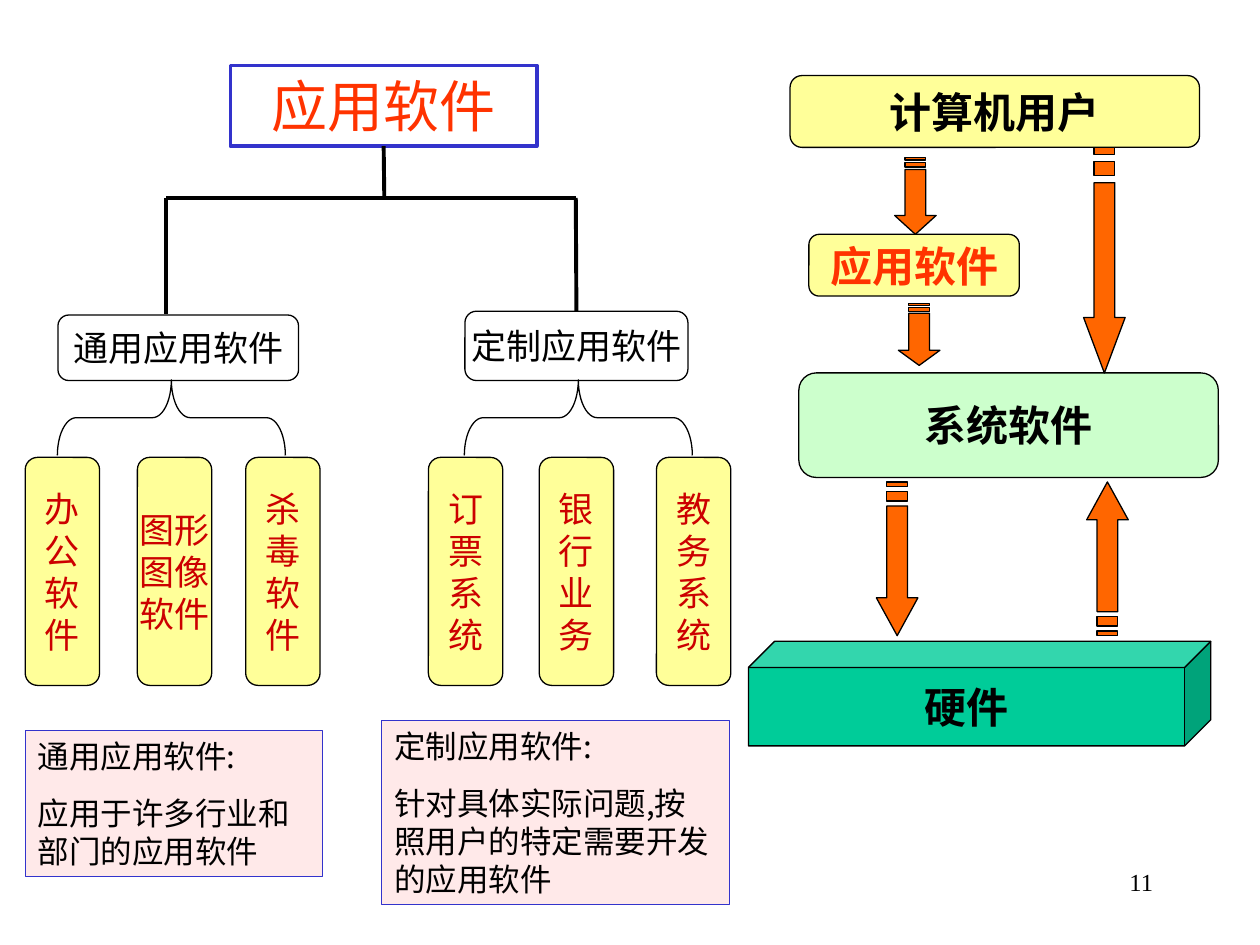
import lxml.etree
import pptx
import pptx.dml.color
import pptx.enum.shapes
import pptx.enum.text
import pptx.oxml.ns
import pptx.util

Inches = pptx.util.Inches
Pt = pptx.util.Pt
MSO_SHAPE = pptx.enum.shapes.MSO_SHAPE
PP_ALIGN = pptx.enum.text.PP_ALIGN
MSO_ANCHOR = pptx.enum.text.MSO_ANCHOR


def color(value):
    return pptx.dml.color.RGBColor.from_string(value)


def add_box(kind, frame, text, size, font, text_color, fill=None, bold=False,
            line="000000", line_width=0.75, wrap=False,
            anchor=MSO_ANCHOR.MIDDLE, align=PP_ALIGN.CENTER, gap=0):
    shape = slide.shapes.add_shape(kind, *[Inches(value) for value in frame])
    shape.shadow.inherit = False
    if fill:
        shape.fill.solid()
        shape.fill.fore_color.rgb = color(fill)
    else:
        shape.fill.background()
    shape.line.color.rgb = color(line)
    shape.line.width = Pt(line_width)
    text_frame = shape.text_frame
    text_frame.text = text
    text_frame.word_wrap = wrap
    text_frame.vertical_anchor = anchor
    for index, paragraph in enumerate(text_frame.paragraphs):
        paragraph.alignment = align
        paragraph.line_spacing = Pt(size * 1.2)
        if index:
            paragraph.space_before = Pt(gap)
        for run in paragraph.runs:
            run.font.size = Pt(size)
            run.font.bold = bold
            run.font.name = font
            run.font.color.rgb = color(text_color)
            east_asian = "Noto Sans CJK JP" if font == "Noto Sans CJK JP" else "Noto Sans CJK SC"
            lxml.etree.SubElement(run.font._element, pptx.oxml.ns.qn("a:ea"), typeface=east_asian)
    return shape


presentation = pptx.Presentation()
presentation.slide_width = Inches(10)
presentation.slide_height = Inches(7.5)
slide = presentation.slides.add_slide(presentation.slide_layouts[6])

layers = [
    (MSO_SHAPE.CUBE, (5.94, 5.09, 3.67, 0.83), "硬件", "000000", "00CC99"),
    (MSO_SHAPE.ROUNDED_RECTANGLE, (6.34, 2.96, 3.33, 0.83), "系统软件", "000000", "CCFFCC"),
    (MSO_SHAPE.ROUNDED_RECTANGLE, (6.42, 1.86, 1.67, 0.49), "应用软件", "FF3300", "FFFF99"),
    (MSO_SHAPE.ROUNDED_RECTANGLE, (6.27, 0.6, 3.25, 0.57), "计算机用户", "000000", "FFFF99"),
]
for kind, frame, text, text_color, fill in layers:
    add_box(kind, frame, text, 24, "Arial", text_color, fill, bold=True)

arrow_height = 0.33
striped_arrows = [
    (6.51, 4.27, 1.22, 0.3, 90),
    (8.18, 4.27, 1.22, 0.3, 270),
    (7.87, 1.9, 1.79, 0.44, 90),
    (6.96, 1.39, 0.61, 0.15, 90),
    (7.05, 2.49, 0.49, 0.12, 90),
]
for left, top, length, head, rotation in striped_arrows:
    upper, lower = top + arrow_height / 4, top + arrow_height * 3 / 4
    neck, tip = left + length - head, left + length
    shaft = left + length * 5 / 32
    outlines = [[
        (shaft, upper), (neck, upper), (neck, top), (tip, top + arrow_height / 2),
        (neck, top + arrow_height), (neck, lower), (shaft, lower),
    ]]
    for start, end in ((0, 1 / 32), (1 / 16, 1 / 8)):
        near, far = left + length * start, left + length * end
        outlines.append([(near, upper), (far, upper), (far, lower), (near, lower)])
    builder = None
    for outline in outlines:
        points = [(Inches(x), Inches(y)) for x, y in outline]
        if builder is None:
            builder = slide.shapes.build_freeform(*points[0])
        else:
            builder.move_to(*points[0])
        builder.add_line_segments(points[1:], close=True)
    arrow = builder.convert_to_shape()
    arrow.rotation = rotation
    arrow.shadow.inherit = False
    arrow.fill.solid()
    arrow.fill.fore_color.rgb = color("FF6600")
    arrow.line.color.rgb = color("000000")
    arrow.line.width = Pt(0.75)

examples = [
    (0.2, "办\n公\n软\n件"),
    (1.09, "图形\n图像\n软件"),
    (1.95, "杀\n毒\n软\n件"),
    (3.4, "订\n票\n系\n统"),
    (4.28, "银\n行\n业\n务"),
    (5.21, "教\n务\n系\n统"),
]
for left, text in examples:
    add_box(MSO_SHAPE.ROUNDED_RECTANGLE, (left, 3.63, 0.59, 1.81), text,
            20, "Noto Sans CJK JP", "CC0000", "FFFF99")

categories = [
    ((0.46, 2.5, 1.91, 0.52), "通用应用软件", 1.06),
    ((3.69, 2.47, 1.77, 0.55), "定制应用软件", 4.29),
]
category_boxes = []
for frame, text, brace_left in categories:
    category_boxes.append(add_box(MSO_SHAPE.ROUNDED_RECTANGLE, frame, text,
                                  20, "Noto Sans CJK JP", "000000"))
    brace = slide.shapes.add_shape(MSO_SHAPE.RIGHT_BRACE, Inches(brace_left), Inches(2.41),
                                   Inches(0.6), Inches(1.81))
    brace.adjustments[0] = 0.25
    brace.rotation = 270
    brace.shadow.inherit = False
    brace.fill.background()
    brace.line.color.rgb = color("000000")
    brace.line.width = Pt(0.75)

title = add_box(MSO_SHAPE.RECTANGLE, (1.83, 0.52, 2.43, 0.64), "应用软件",
                32, "Times New Roman", "FF3300", line="3333CC", line_width=2.25,
                wrap=True, anchor=MSO_ANCHOR.TOP)

tree_lines = [
    (1.32, 1.57, 4.57, 1.57, None, None),
    (3.05, 1.16, 3.05, 1.57, title, None),
    (1.32, 1.57, 1.32, 2.49, None, None),
    (4.57, 1.57, 4.57, 2.47, None, category_boxes[1]),
]
for x1, y1, x2, y2, start_box, end_box in tree_lines:
    connector = slide.shapes.add_connector(
        pptx.enum.shapes.MSO_CONNECTOR.STRAIGHT, Inches(x1), Inches(y1), Inches(x2), Inches(y2))
    if start_box:
        connector.begin_connect(start_box, 2)
    if end_box:
        connector.end_connect(end_box, 0)
    connector.line.color.rgb = color("000000")
    connector.line.width = Pt(2.25)
    lxml.etree.SubElement(connector._element.spPr, pptx.oxml.ns.qn("a:effectLst"))

notes = [
    ((0.2, 5.8, 2.36, 1.16), "通用应用软件:\n应用于许多行业和部门的应用软件"),
    ((3.03, 5.72, 2.76, 1.46), "定制应用软件:\n针对具体实际问题,按照用户的特定需要开发的应用软件"),
]
for frame, text in notes:
    add_box(MSO_SHAPE.RECTANGLE, frame, text, 18, "Noto Sans CJK SC", "000000", "FFE9E9",
            line="3333CC", wrap=True, anchor=MSO_ANCHOR.TOP, align=PP_ALIGN.LEFT, gap=11.2)

page_number = slide.shapes.add_textbox(Inches(7.17), Inches(6.83), Inches(2.08), Inches(0.5))
page_number.text_frame.text = "11"
page_number.text_frame.word_wrap = True
paragraph = page_number.text_frame.paragraphs[0]
paragraph.alignment = PP_ALIGN.RIGHT
paragraph.runs[0].font.size = Pt(14)
paragraph.runs[0].font.name = "Times New Roman"
paragraph.runs[0].font.color.rgb = color("000000")

presentation.save("out.pptx")
